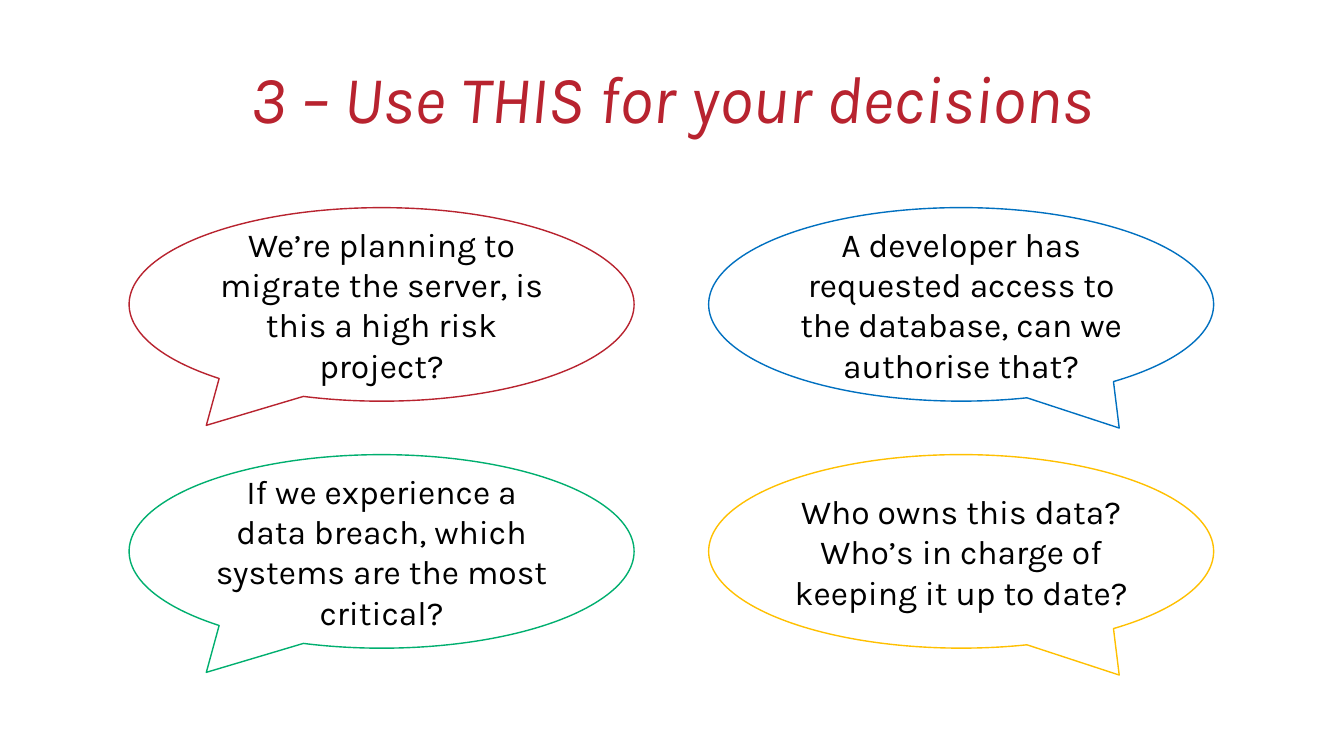
from pptx import Presentation
from pptx.dml.color import RGBColor
from pptx.enum import shapes, text
from pptx.util import Pt

RED, BLUE, GREEN, YELLOW, BLACK = "B8232F", "0070C0", "00AF6F", "FFC000", "000000"
TAIL_LEFT = (-0.347, 0.625)
TAIL_RIGHT = (0.313, 0.639)
QUESTIONS = [
    ("We’re planning to migrate the server, is this a high risk project?", RED),
    ("A developer has requested access to the database, can we authorise that?", BLUE),
    ("If we experience a data breach, which systems are the most critical?", GREEN),
    ("Who owns this data? Who’s in charge of keeping it up to date?", YELLOW),
]


def color(value):
    return RGBColor.from_string(value)


def write_text(shape, wording, size=24, fill=BLACK, italic=False, line_spacing=None):
    frame = shape.text_frame
    frame.word_wrap = True
    frame.vertical_anchor = text.MSO_ANCHOR.MIDDLE
    paragraph = frame.paragraphs[0]
    paragraph.alignment = text.PP_ALIGN.CENTER
    paragraph.line_spacing = line_spacing
    run = paragraph.add_run()
    run.text = wording
    run.font.name = "Karla"
    run.font.size = Pt(size)
    run.font.italic = italic
    run.font.color.rgb = color(fill)


def add_title(slide, left, top, width, height):
    title = slide.shapes.add_textbox(Pt(left), Pt(top), Pt(width), Pt(height))
    write_text(title, "3 – Use THIS for your decisions",
               size=48, fill=RED, italic=True, line_spacing=0.9)


def add_bubble(slide, left, top, width, height, question, outline, tail):
    bubble = slide.shapes.add_shape(shapes.MSO_SHAPE.OVAL_CALLOUT,
                                    Pt(left), Pt(top), Pt(width), Pt(height))
    bubble.adjustments[0], bubble.adjustments[1] = tail
    bubble.shadow.inherit = False
    bubble.fill.background()
    bubble.line.color.rgb = color(outline)
    bubble.line.width = Pt(1)
    write_text(bubble, question)


def add_questions(slide, left, top, width, height, column_gap=53.3, row_gap=38.2):
    bubble_width = (width - column_gap) / 2
    bubble_height = (height - row_gap) / 2
    for index, (question, outline) in enumerate(QUESTIONS):
        row, column = divmod(index, 2)
        add_bubble(slide,
                   left + column * (bubble_width + column_gap),
                   top + row * (bubble_height + row_gap),
                   bubble_width, bubble_height, question, outline,
                   TAIL_RIGHT if column else TAIL_LEFT)


def main():
    presentation = Presentation()
    presentation.slide_width = Pt(960)
    presentation.slide_height = Pt(540)
    slide = presentation.slides.add_slide(presentation.slide_layouts[6])
    add_title(slide, 66, 20.4, 828, 104.4)
    add_questions(slide, 92.2, 148.3, 774.7, 314.7)
    presentation.save("out.pptx")


if __name__ == "__main__":
    main()
